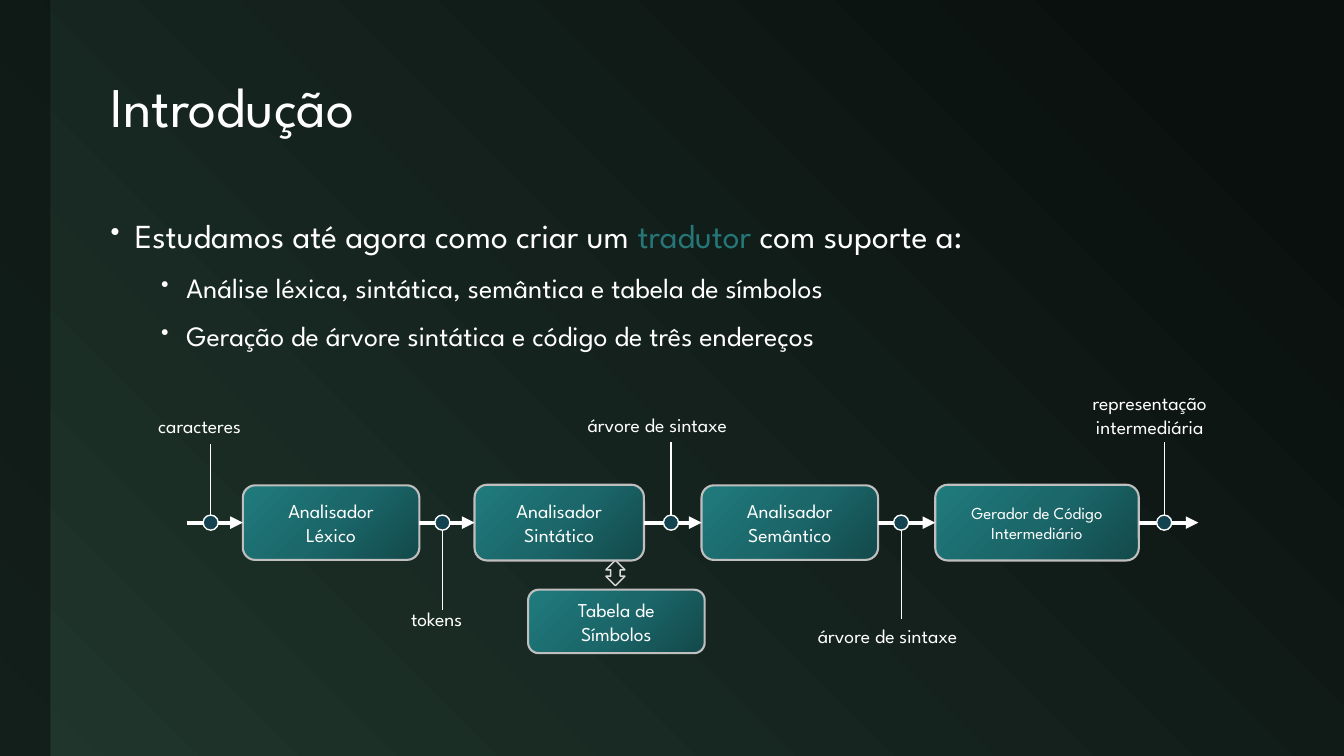
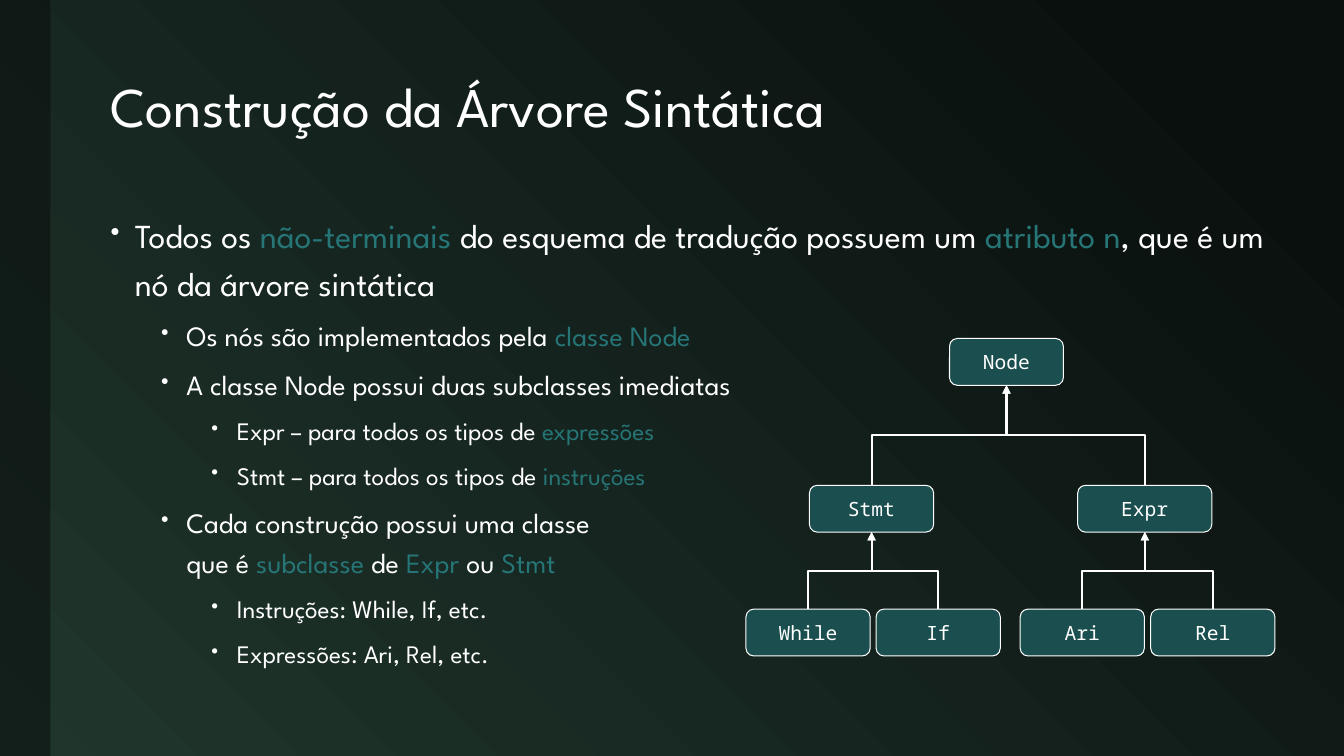
from copy import deepcopy

from pptx import Presentation
from pptx import util as u
from pptx.dml.color import RGBColor
from pptx.enum import shapes, text
from pptx.oxml.ns import qn
from pptx.oxml.xmlchemy import OxmlElement

# Shared look
WHITE = RGBColor(0xFF, 0xFF, 0xFF)
TEAL = RGBColor(0x26, 0x75, 0x77)
NIGHT = RGBColor(0x0A, 0x10, 0x0E)
FOREST = RGBColor(0x20, 0x36, 0x2D)
NODE_FILL = RGBColor(0x1A, 0x4E, 0x4F)
DOT_FILL = RGBColor(0x13, 0x42, 0x51)
BOX_LINE = RGBColor(0xBF, 0xBF, 0xBF)
ARROW_LINE = RGBColor(0xD9, 0xD9, 0xD9)
BACKDROP = [(0.1, NIGHT), (1, FOREST)]
BOX_GRADIENT = [(0, RGBColor(0x13, 0x49, 0x4A)), (0.5, RGBColor(0x1B, 0x67, 0x6A)),
                (1, RGBColor(0x20, 0x7B, 0x7D))]
SANS, MONO = "League Spartan", "Noto Sans Mono"
CENTER = text.PP_ALIGN.CENTER
KIND = shapes.MSO_SHAPE

WIDTH, HEIGHT = 33.87, 19.05
BAND = (0, 0, 1.27, HEIGHT)
TITLE = (2.54, 1.07, 29.59, 3.38)
BODY = (2.54, 5.08, 29.59, 12.27)
# Text size, left margin, hanging indent and space before, by level
LEVELS = [(24, 0.61, 0.61, 18), (20, 1.91, 0.64, 6), (18, 3.18, 0.64, 6)]

# Slide 1: level and text, with accented words between asterisks
INTRO = ("Introdução", [
    (0, "Estudamos até agora como criar um *tradutor* com suporte a:"),
    (1, "Análise léxica, sintática, semântica e tabela de símbolos"),
    (1, "Geração de árvore sintática e código de três endereços"),
])
AXIS = 13.17
# Text, left, width, height, text size
STAGES = [
    ("Analisador\nLéxico", 6.12, 4.45, 1.88, 14),
    ("Analisador\nSintático", 11.96, 4.27, 1.91, 14),
    ("Analisador\nSemântico", 17.68, 4.45, 1.88, 14),
    ("Gerador de Código Intermediário", 23.57, 5.13, 1.91, 12),
]
SYMBOL_TABLE = (13.31, 14.86, 4.45, 1.6)
TABLE_ARROW = (15.27, 14.12, 0.48, 0.64)
DOT = 0.38
FLOW_START, FLOW_END = 4.7, 30.2
# Label, dot centre, stem end, label top, label width, label height
FLOWS = [
    ("caracteres", 5.31, 11.18, 10.31, 3.15, 0.86),
    ("tokens", 11.15, 15.37, 15.16, 2.08, 0.86),
    ("árvore de sintaxe", 16.91, 11.13, 10.29, 4.7, 0.86),
    ("árvore de sintaxe", 22.71, 15.6, 15.6, 4.7, 0.86),
    ("representação\nintermediária", 29.34, 11.13, 9.73, 4.11, 1.45),
]

# Slide 2
TREE = ("Construção da Árvore Sintática", [
    (0, "Todos os *não-terminais* do esquema de tradução possuem um "
        "*atributo n*, que é um nó da árvore sintática"),
    (1, "Os nós são implementados pela *classe Node*"),
    (1, "A classe Node possui duas subclasses imediatas"),
    (2, "Expr – para todos os tipos de *expressões*"),
    (2, "Stmt – para todos os tipos de *instruções*"),
    (1, "Cada construção possui uma classe \nque é *subclasse *de *Expr *ou *Stmt*"),
    (2, "Instruções: While, If, etc."),
    (2, "Expressões: Ari, Rel, etc."),
])
NODE_HEIGHT = 1.18
NODE_TOPS = [8.53, 12.23, 15.35]
# Name, parent, depth, left, width
NODES = [
    ("Node", None, 0, 23.93, 2.87),
    ("Stmt", "Node", 1, 20.4, 3.13),
    ("Expr", "Node", 1, 27.16, 3.38),
    ("While", "Stmt", 2, 18.8, 3.13),
    ("If", "Stmt", 2, 22.08, 3.13),
    ("Ari", "Expr", 2, 25.71, 3.13),
    ("Rel", "Expr", 2, 29, 3.13),
]


def cm(values):
    return [u.Cm(value) for value in values]


def apply(target, values):
    for name, value in values.items():
        setattr(target, name, value)


def add_span(para, words, size, font=SANS, color=WHITE):
    span = para.add_run()
    span.text = words
    apply(span.font, {"size": u.Pt(size), "name": font})
    span.font.color.rgb = color


def add_lines(frame, words, size, font=SANS):
    paras = []
    for number, line in enumerate(words.split("\n")):
        para = frame.add_paragraph() if number else frame.paragraphs[0]
        add_span(para, line, size, font)
        paras.append(para)
    return paras


def set_gradient(fill, stops, angle):
    fill.gradient()
    fill.gradient_angle = angle
    while len(fill.gradient_stops) < len(stops):
        last = fill.gradient_stops[-1]._gs
        last.addnext(deepcopy(last))
    for stop, (position, color) in zip(fill.gradient_stops, stops):
        stop.position = position
        stop.color.rgb = color


def set_line(line, color, width):
    line.color.rgb = color
    line.width = u.Pt(width)


def add_box(page, kind, place, fill=None, line=None):
    """fill is a colour, a list of gradient stops or None; line is (colour, width)."""
    box = page.shapes.add_shape(kind, *cm(place))
    box.shadow.inherit = False
    if fill is None:
        box.fill.background()
    elif isinstance(fill, list):
        set_gradient(box.fill, fill, 135)
    else:
        box.fill.solid()
        box.fill.fore_color.rgb = fill
    if line:
        set_line(box.line, *line)
    else:
        box.line.fill.background()
    return box


def add_label_box(page, place, words, size, fill, line, font=SANS):
    box = add_box(page, KIND.ROUNDED_RECTANGLE, place, fill, line)
    apply(box.text_frame, {"word_wrap": True, "vertical_anchor": text.MSO_ANCHOR.MIDDLE})
    for para in add_lines(box.text_frame, words, size, font):
        para.alignment = CENTER
    return box


def add_line(page, kind, ends, width, arrow=False):
    line = page.shapes.add_connector(kind, *cm(ends))
    set_line(line.line, WHITE, width)
    if arrow:
        tail = OxmlElement("a:tailEnd")
        tail.set("type", "triangle")
        line.line._get_or_add_ln().append(tail)
    line._element.spPr.append(OxmlElement("a:effectLst"))
    return line


def add_bullet(para, level, words):
    size, margin, hanging, before = LEVELS[level]
    props = para._p.get_or_add_pPr()
    props.set("marL", str(u.Cm(margin)))
    props.set("indent", str(-u.Cm(hanging)))
    for tag, name, value in (("a:buSzPct", "val", "80000"), ("a:buChar", "char", "•")):
        bullet = OxmlElement(tag)
        bullet.set(name, value)
        props.append(bullet)
    apply(para, {"level": level, "line_spacing": 1.2})
    if para._p.getprevious().tag == qn("a:p"):
        para.space_before = u.Pt(before)
    for part, piece in enumerate(words.split("*")):
        for number, line in enumerate(piece.split("\n")):
            if number:
                para.add_line_break()
            if line:
                add_span(para, line, size, color=TEAL if part % 2 else WHITE)


def add_page(deck, title, bullets):
    page = deck.slides.add_slide(deck.slide_layouts[6])
    # Side band
    band = add_box(page, KIND.RECTANGLE, BAND, NIGHT)
    alpha = OxmlElement("a:alpha")
    alpha.set("val", "60000")
    band._element.spPr.find(".//" + qn("a:srgbClr")).append(alpha)
    # Title
    frame = page.shapes.add_textbox(*cm(TITLE)).text_frame
    apply(frame, {"word_wrap": True, "vertical_anchor": text.MSO_ANCHOR.MIDDLE})
    add_lines(frame, title, 40)[0].line_spacing = 0.9
    # Bullets
    frame = page.shapes.add_textbox(*cm(BODY)).text_frame
    frame.word_wrap = True
    for number, (level, words) in enumerate(bullets):
        add_bullet(frame.add_paragraph() if number else frame.paragraphs[0], level, words)
    return page


def draw_pipeline(page):
    look = (BOX_GRADIENT, (BOX_LINE, 1.5))
    # Symbol table and its arrow
    add_box(page, KIND.UP_DOWN_ARROW, TABLE_ARROW, None, (ARROW_LINE, 1))
    add_label_box(page, SYMBOL_TABLE, "Tabela de Símbolos", 14, *look)
    # Stages, centred on one axis
    boxes = [add_label_box(page, (left, AXIS - height / 2, width, height), words, size, *look)
             for words, left, width, height, size in STAGES]
    # Flows between neighbouring stages, each with dot, stem and label
    straight = shapes.MSO_CONNECTOR.STRAIGHT
    for flow, before, after in zip(FLOWS, [None] + boxes, boxes + [None]):
        words, x, stem_end, top, width, height = flow
        arrow = add_line(page, straight, (FLOW_START, AXIS, FLOW_END, AXIS), 3, True)
        if before:
            arrow.begin_connect(before, 3)
        if after:
            arrow.end_connect(after, 1)
        add_line(page, straight, (x, AXIS, x, stem_end), 0.75)
        add_box(page, KIND.OVAL, (x - DOT / 2, AXIS - DOT / 2, DOT, DOT), DOT_FILL, (WHITE, 1))
        label = page.shapes.add_textbox(*cm((x - width / 2, top, width, height)))
        apply(label.text_frame, {"word_wrap": False,
                                 "auto_size": text.MSO_AUTO_SIZE.SHAPE_TO_FIT_TEXT})
        for para in add_lines(label.text_frame, words, 14)[1:]:
            para.alignment = CENTER


def join_to_parent(page, child, parent):
    """Elbow from the child's top to the parent's bottom, turned to run upwards."""
    line = add_line(page, shapes.MSO_CONNECTOR.ELBOW, (0, 0, 1, 1), 1.5, True)
    line.begin_connect(child, 0)
    line.end_connect(parent, 2)
    start_x, end_x = (box.left + box.width // 2 for box in (child, parent))
    start_y, end_y = child.top, parent.top + parent.height
    run, rise = abs(start_x - end_x), start_y - end_y
    apply(line, {"left": (start_x + end_x - rise) // 2, "top": (start_y + end_y - run) // 2,
                 "width": rise, "height": run})
    frame = line._element.spPr.find(qn("a:xfrm"))
    from_right = start_x > end_x
    frame.set("rot", str((270 if from_right else 90) * 60000))
    frame.set("flipH", "0" if from_right else "1")
    frame.set("flipV", "1")


def draw_class_tree(page):
    boxes = {}
    for name, parent, depth, left, width in NODES:
        place = (left, NODE_TOPS[depth], width, NODE_HEIGHT)
        boxes[name] = add_label_box(page, place, name, 14, NODE_FILL, (WHITE, 0.75), MONO)
        if parent:
            join_to_parent(page, boxes[name], boxes[parent])


def main():
    deck = Presentation()
    apply(deck, {"slide_width": u.Cm(WIDTH), "slide_height": u.Cm(HEIGHT)})
    set_gradient(deck.slide_master.background.fill, BACKDROP, 225)
    draw_pipeline(add_page(deck, *INTRO))
    draw_class_tree(add_page(deck, *TREE))
    deck.save("out.pptx")


if __name__ == "__main__":
    main()
